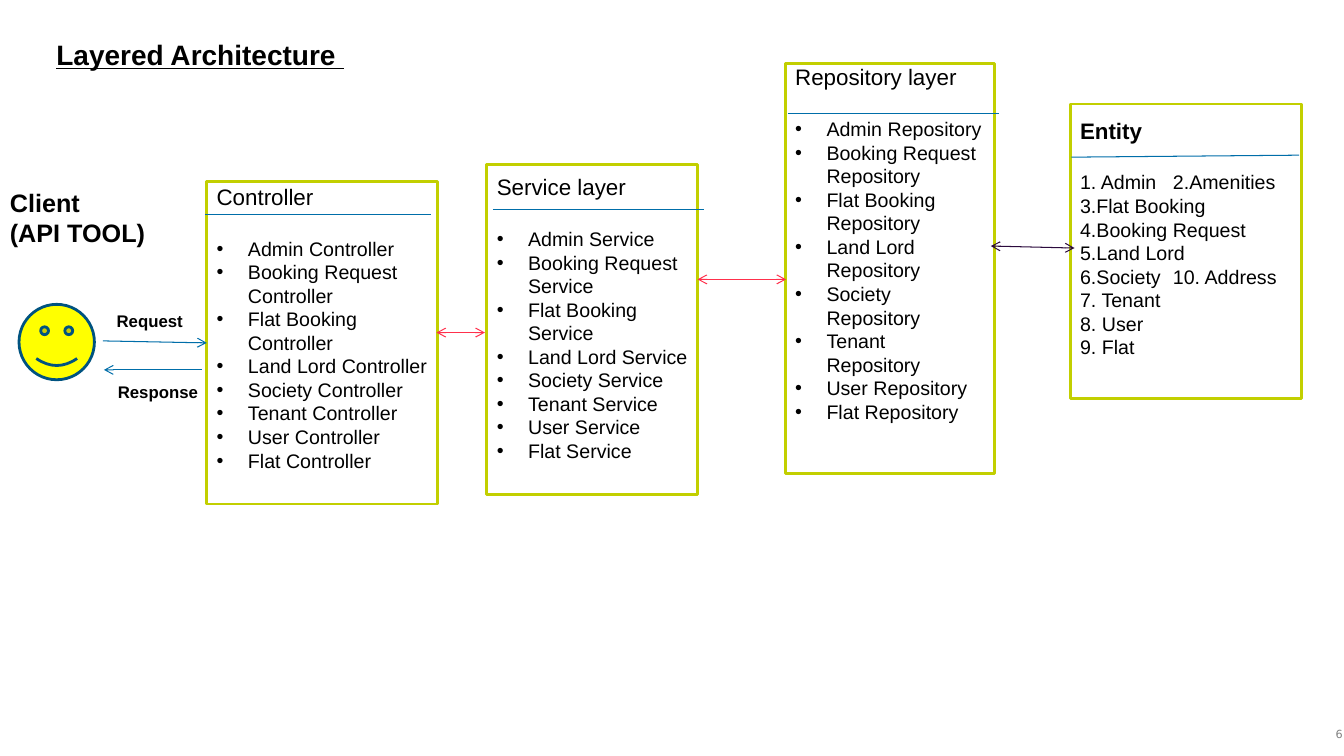
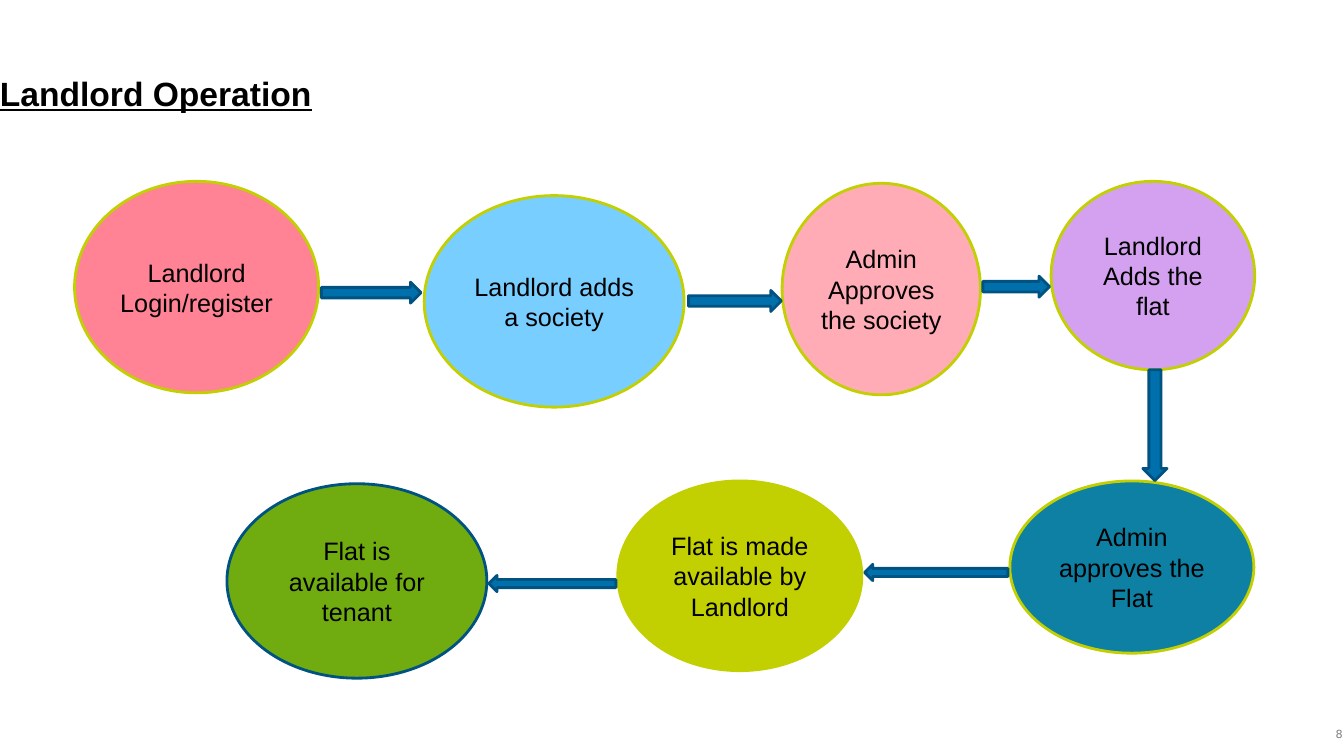
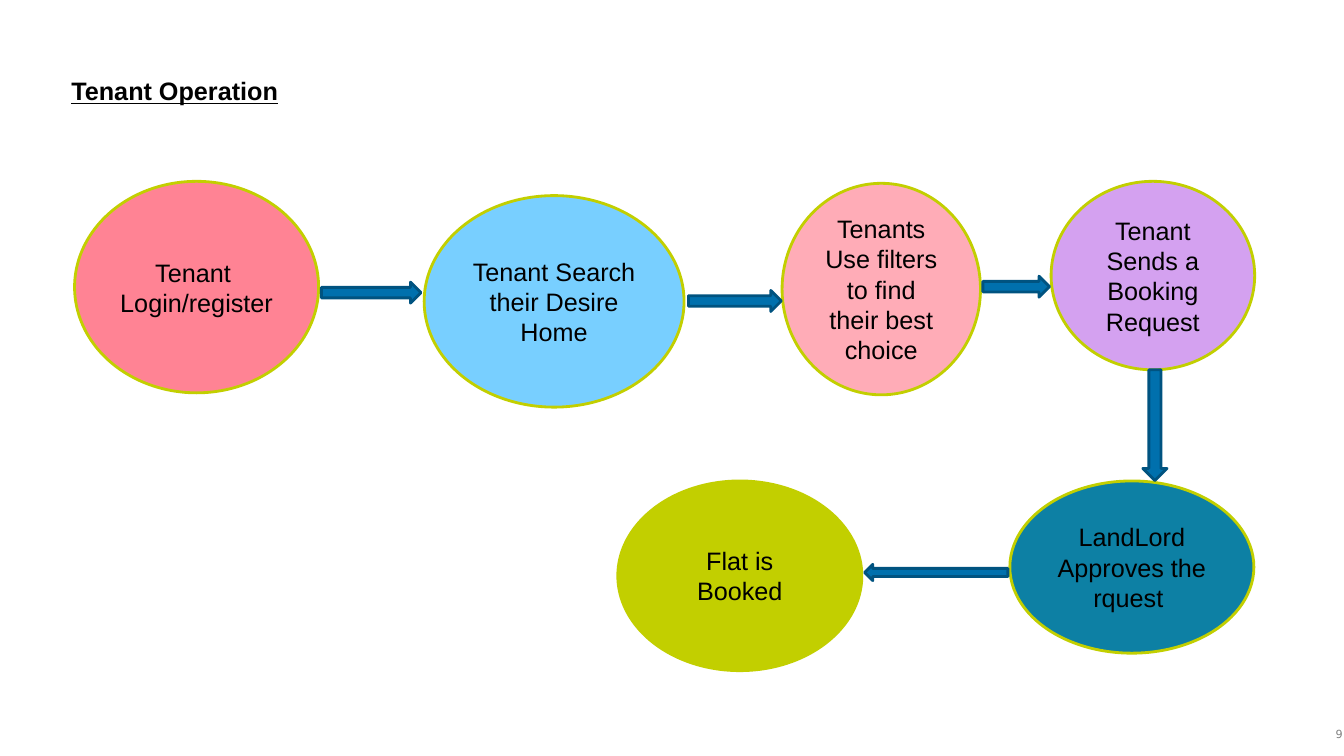
from pptx import Presentation
from pptx.dml.color import RGBColor as RGB
from pptx.enum.shapes import MSO_CONNECTOR as Link, MSO_SHAPE as Form
from pptx.enum.text import MSO_ANCHOR as Anchor, PP_ALIGN as Align
from pptx.oxml.ns import qn
from pptx.util import Cm, Pt
from lxml.etree import SubElement as Sub


class Theme:
    font, page_font = "Arial", "DejaVu Sans"
    black, white, gray = "000000", "FFFFFF", "808080"
    lime, blue, navy, steel = "C2CF00", "0070AD", "005380", "006EA9"
    red, plum, yellow = "FF304C", "2B0A3D", "FFFF00"
    rose, sky, pink = "FF8394", "78CFFF", "FFACB7"
    lilac, teal, green = "D4A1F0", "0D80A4", "70AC10"
    page, label, item, head, body = 8, 12, 14, 16, 18
    leading = 1.2
    thin, edge = 0.75, 2


def draw(slide, kind, box, fill=None, edge=None):
    """Add a preset shape, or a text box when kind is None."""
    area = [Cm(n) for n in box]
    if kind is None:
        return slide.shapes.add_textbox(*area)
    shape = slide.shapes.add_shape(kind, *area)
    shape.shadow.inherit = False
    shape.fill.solid()
    shape.fill.fore_color.rgb = RGB.from_string(fill)
    shape.line.color.rgb = RGB.from_string(edge)
    shape.line.width = Pt(Theme.edge)
    return shape


def write(shape, text, size=Theme.body, color=Theme.black, font=Theme.font, bold=False,
          under=False, align=Align.LEFT, anchor=Anchor.TOP, gap=0, bullet=False, tab=None):
    """Add one paragraph per line of text; gap is the space above the first."""
    frame = shape.text_frame
    frame.word_wrap = True
    frame.vertical_anchor = anchor
    for i, line in enumerate(text.split("\n")):
        para = frame.add_paragraph() if frame.text else frame.paragraphs[0]
        para.alignment = align
        para.line_spacing = Pt(size * Theme.leading)
        para.space_before = Pt(0 if i else gap)
        props = para._p.get_or_add_pPr()
        if bullet:
            props.set("marL", str(Cm(0.79)))
            props.set("indent", str(-Cm(0.79)))
            Sub(props, qn("a:buFont"), typeface=Theme.font)
            Sub(props, qn("a:buChar"), char="•")
        if tab:
            tabs = Sub(props, qn("a:tabLst"))
            Sub(tabs, qn("a:tab"), pos=str(Cm(tab)), algn="l")
        run = para.add_run()
        run.text = line
        run.font.name, run.font.size = font, Pt(size)
        run.font.bold, run.font.underline = bold, under
        run.font.color.rgb = RGB.from_string(color)


deck = Presentation()
deck.slide_width, deck.slide_height = Cm(33.87), Cm(19.05)

# Titles and page numbers: page, title, box, size, inset
heads = [
    ("6", "Layered Architecture ", (1.17, 0.81, 10.13, 1.12), 20, 0.25),
    ("8", "Landlord Operation", (0, 1.88, 30.48, 0.91), 24, 0),
    ("9", "Tenant Operation", (1.55, 1.78, 21.49, 1.02), 18, 0.25),
]
slides = []
for page, title, box, size, inset in heads:
    slide = deck.slides.add_slide(deck.slide_layouts[6])
    num = draw(slide, None, (32, 18.21, 1.84, 0.58))
    num.text_frame.margin_right = 0
    write(num, page, size=Theme.page, color=Theme.gray, font=Theme.page_font, align=Align.RIGHT)
    top = draw(slide, None, box)
    frame = top.text_frame
    frame.margin_left = frame.margin_right = Cm(inset)
    frame.margin_top = frame.margin_bottom = Cm(inset / 2)
    write(top, title, size=size, bold=True, under=True, anchor=Anchor.MIDDLE)
    slides.append(slide)
layers, *flows = slides

# Layer panels: heading, box, top inset, items
parts = ["Admin", "Booking Request", "Flat Booking", "Land Lord",
         "Society", "Tenant", "User", "Flat"]
entities = ("1. Admin\t2.Amenities\n3.Flat Booking\n4.Booking Request\n5.Land Lord\n"
            "6.Society\t10. Address\n7. Tenant\n8. User\n9. Flat")
panels = [
    ("Controller", (5.21, 4.57, 5.82, 8.13), 0.04, "Controller"),
    ("Service layer", (12.27, 4.14, 5.31, 8.33), 0.23, "Service"),
    ("Repository layer", (19.79, 1.6, 5.28, 10.34), 0, "Repository"),
    ("Entity", (26.97, 2.62, 5.84, 7.42), 0.32, None),
]
for head, box, inset, kind in panels:
    panel = draw(layers, Form.RECTANGLE, box, Theme.white, Theme.lime)
    panel.text_frame.margin_top = Cm(inset)
    write(panel, head, size=Theme.head, bold=kind is None)
    items = "\n".join(f"{part} {kind}" for part in parts) if kind else entities
    write(panel, items, size=Theme.item, gap=Theme.head * Theme.leading,
          bullet=bool(kind), tab=None if kind else 2.34)

# Client
draw(layers, Form.SMILEY_FACE, (0.48, 7.67, 1.9, 1.9), Theme.yellow, Theme.navy)
for text, box, size in [
    ("Client\n(API TOOL)", (0, 4.6, 4.83, 1.8), Theme.body),
    ("Request", (2.69, 7.7, 2.82, 0.76), Theme.label),
    ("Response", (2.72, 9.5, 2.82, 0.76), Theme.label),
]:
    write(draw(layers, None, box), text, size=size, bold=True)

# Heading rules and links: ends, colour, arrowheads
both, end = ("headEnd", "tailEnd"), ("tailEnd",)
for ends, color, tips in [
    ((5.16, 5.41, 10.87, 5.41), Theme.steel, ()),
    ((12.42, 5.28, 17.75, 5.28), Theme.steel, ()),
    ((19.86, 2.87, 25.17, 2.87), Theme.steel, ()),
    ((27, 3.96, 32.74, 3.91), Theme.steel, ()),
    ((11, 8.38, 12.22, 8.38), Theme.red, both),
    ((17.58, 7.04, 19.81, 7.04), Theme.red, both),
    ((24.97, 6.2, 27.08, 6.25), Theme.plum, both),
    ((2.59, 8.59, 5.21, 8.64), Theme.steel, end),
    ((5.08, 9.32, 2.62, 9.32), Theme.steel, end),
]:
    link = layers.shapes.add_connector(Link.STRAIGHT, *[Cm(n) for n in ends])
    link.line.color.rgb = RGB.from_string(color)
    link.line.width = Pt(Theme.thin)
    for tip in tips:
        Sub(link.line._get_or_add_ln(), qn(f"a:{tip}"), type="arrow")
    Sub(link._element.spPr, qn("a:effectLst"))

# Flow steps shared by both operations: box, fill, edge
steps = [
    ((1.88, 4.57, 6.15, 5.33), Theme.rose, Theme.lime),
    ((10.69, 4.93, 6.55, 5.33), Theme.sky, Theme.lime),
    ((19.71, 4.62, 5, 5.33), Theme.pink, Theme.lime),
    ((26.49, 4.57, 5.13, 4.75), Theme.lilac, Theme.lime),
    ((25.45, 12.12, 6.15, 4.34), Theme.teal, Theme.lime),
    ((15.57, 12.12, 6.15, 4.78), Theme.lime, Theme.lime),
    ((5.72, 12.19, 6.55, 4.9), Theme.green, Theme.navy),
]
# Arrows between steps: box, turn
arrows = [
    ((8.1, 7.11, 2.51, 0.53), 0),
    ((17.35, 7.32, 2.34, 0.53), 0),
    ((24.77, 6.96, 1.68, 0.53), 0),
    ((27.71, 10.41, 2.79, 0.61), 90),
    ((21.79, 14.22, 3.61, 0.41), 180),
    ((12.32, 14.5, 3.2, 0.41), 180),
]
words = [
    ["Landlord\nLogin/register", "Landlord adds a society", "Admin Approves the society",
     "Landlord Adds the flat", "Admin approves the Flat",
     "Flat is made available by Landlord", "Flat is available for tenant"],
    ["Tenant \nLogin/register", "Tenant Search their Desire Home",
     "Tenants Use filters to find their best choice", "Tenant Sends a Booking Request",
     "LandLord Approves the rquest ", "Flat is Booked"],
]
for slide, texts in zip(flows, words):
    for text, (box, fill, edge) in zip(texts, steps):
        step = draw(slide, Form.OVAL, box, fill, edge)
        write(step, text, align=Align.CENTER, anchor=Anchor.MIDDLE)
    for box, turn in arrows[:len(texts) - 1]:
        arrow = draw(slide, Form.RIGHT_ARROW, box, Theme.blue, Theme.navy)
        arrow.rotation = turn

deck.save("out.pptx")
